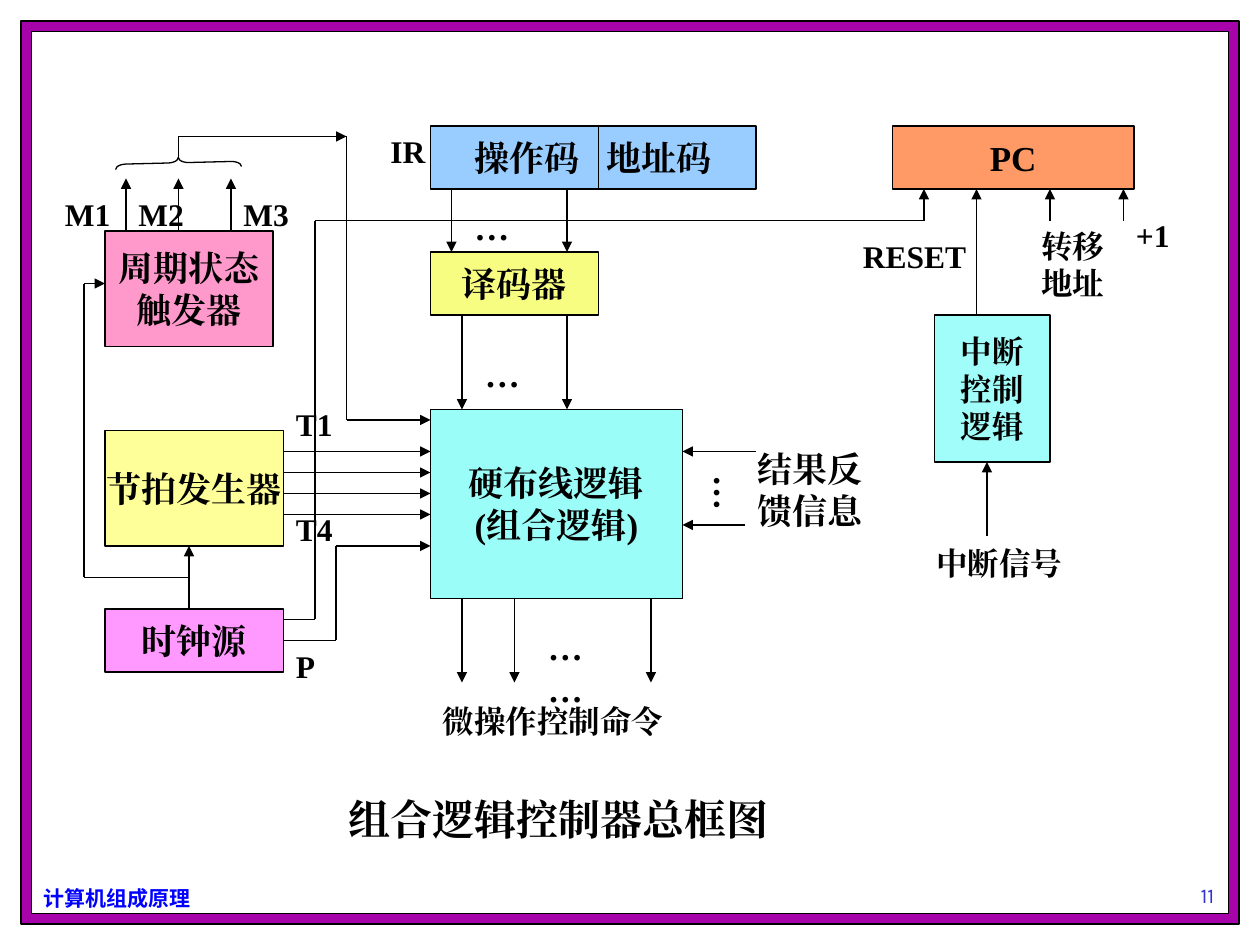
from lxml.etree import SubElement
from pptx import Presentation
from pptx.dml.color import RGBColor
from pptx.enum.shapes import MSO_CONNECTOR, MSO_SHAPE
from pptx.enum.text import MSO_ANCHOR, PP_ALIGN
from pptx.oxml.ns import qn
from pptx.util import Emu, Pt

PX = 9525
BLACK = RGBColor(0x00, 0x00, 0x00)
WHITE = RGBColor(0xFF, 0xFF, 0xFF)
PURPLE = RGBColor(0xA6, 0x03, 0xAB)
BLUE = RGBColor(0x00, 0x00, 0xFF)
INDIGO = RGBColor(0x33, 0x33, 0xCC)
SKY = RGBColor(0x99, 0xCC, 0xFF)
LEMON = RGBColor(0xF7, 0xFD, 0x81)
AQUA = RGBColor(0x9B, 0xFD, 0xF8)
CYAN = RGBColor(0xA1, 0xFD, 0xF9)
ORANGE = RGBColor(0xFF, 0x99, 0x66)
PINK = RGBColor(0xFF, 0x99, 0xCC)
YELLOW = RGBColor(0xFF, 0xFF, 0x99)
VIOLET = RGBColor(0xFF, 0x99, 0xFF)


class Board:
    serif = "Times New Roman"
    sans = "Noto Sans CJK SC"
    width = Pt(0.75)

    def __init__(self, slide):
        self.shapes = slide.shapes

    def scale(self, *values):
        return [Emu(value * PX) for value in values]

    def style(self, frame, size, color=BLACK, face=serif, bold=True):
        for para in frame.paragraphs:
            for run in para.runs:
                font = run.font
                font.size, font.bold = Pt(size), bold
                font.color.rgb = color
                font.name = face
                SubElement(font._element, qn("a:ea"), typeface=face)

    def outline(self, kind, at):
        shape = self.shapes.add_shape(kind, *self.scale(*at))
        shape.shadow.inherit = False
        shape.line.color.rgb = BLACK
        shape.line.width = self.width
        return shape

    def box(self, at, fill, text="", size=20, gap=None):
        shape = self.outline(MSO_SHAPE.RECTANGLE, at)
        shape.fill.solid()
        shape.fill.fore_color.rgb = fill
        frame = shape.text_frame
        frame.word_wrap = False
        frame.vertical_anchor = MSO_ANCHOR.MIDDLE
        first, *rest = text.split(" ")
        frame.text = first
        for word in rest:
            space, run = (frame.paragraphs[0].add_run() for _ in range(2))
            space.text, run.text = " ", word
            space.font._element.set("spc", str(gap * 100))
        for para in frame.paragraphs:
            para.alignment = PP_ALIGN.CENTER
        self.style(frame, size)

    def label(self, at, text, size=18, wrap=True, **look):
        frame = self.shapes.add_textbox(*self.scale(*at)).text_frame
        frame.word_wrap = wrap
        frame.text = text
        self.style(frame, size, **look)
        return frame

    def brace(self, at, turn):
        shape = self.outline(MSO_SHAPE.RIGHT_BRACE, at)
        shape.fill.background()
        shape.adjustments[0] = 1
        shape.rotation = turn

    def wire(self, *points, arrow=True):
        for start, end in zip(points, points[1:]):
            line = self.shapes.add_connector(
                MSO_CONNECTOR.STRAIGHT, *self.scale(*start, *end))
            line.line.color.rgb = BLACK
            line.line.width = self.width
            SubElement(line._element.spPr, qn("a:effectLst"))
        if arrow:
            SubElement(line.line._get_or_add_ln(), qn("a:tailEnd"), type="triangle")


def frame(board):
    board.box((16, 16, 928, 688), PURPLE)
    board.box((24, 24, 912, 672), WHITE)
    board.label((24, 670, 131, 29), "计算机组成原理", 12, False,
                color=BLUE, face=board.sans)
    page = board.label((832, 648, 176, 48), "11", 12,
                       color=INDIGO, face="Karla", bold=False)
    page.vertical_anchor = MSO_ANCHOR.BOTTOM
    page.paragraphs[0].alignment = PP_ALIGN.CENTER


def blocks(board):
    board.box((328, 96, 248, 48), SKY, "操作码 地址码", gap=10)
    board.wire((456, 96), (456, 144), arrow=False)
    board.box((328, 192, 128, 48), LEMON, "译码器")
    board.box((328, 312, 192, 144), AQUA, "硬布线逻辑\n(组合逻辑)")
    board.box((680, 96, 184, 48), ORANGE, "PC")
    board.box((80, 176, 128, 88), PINK, "周期状态\n触发器")
    board.box((80, 328, 136, 88), YELLOW, "节拍发生器")
    board.box((80, 464, 136, 48), VIOLET, "时钟源")
    board.box((712, 240, 88, 112), CYAN, "中断\n控制\n逻辑", 18)


def wires(board):
    for x in (352, 392, 496):
        board.wire((x, 456), (x, 520))
    for x in (96, 136, 176):
        board.wire((x, 176), (x, 136))
    for y in range(344, 393, 16):
        board.wire((216, y), (328, y))
    for x in (344, 432):
        board.wire((x, 144), (x, 192))
    for x in (352, 432):
        board.wire((x, 240), (x, 312))
    for x in (800, 856):
        board.wire((x, 168), (x, 144))
    board.wire((144, 464), (144, 416))
    board.brace((132, 76, 8, 96), 268.6)
    board.wire((136, 120), (136, 104), (264, 104))
    board.wire((264, 104), (264, 320), (328, 320))
    board.wire((144, 440), (64, 440), (64, 216), (80, 216))
    board.wire((216, 488), (256, 488), (256, 416), (328, 416))
    board.wire((216, 472), (240, 472), (240, 168), (704, 168), (704, 144))
    board.wire((576, 344), (520, 344))
    board.wire((568, 400), (520, 400))
    board.wire((744, 240), (744, 144))
    board.wire((752, 408), (752, 352))


def labels(board):
    for x, y, wide, text in (
        (40, 144, 80, "M1"), (96, 144, 80, "M2"), (176, 144, 56, "M3"),
        (216, 304, 48, "T1"), (216, 384, 48, "T4"), (216, 488, 80, "P"),
        (288, 96, 48, "IR"), (856, 160, 64, "+1"), (648, 176, 120, "RESET"),
        (704, 410, 160, "中断信号"), (328, 530, 232, "微操作控制命令"),
    ):
        board.label((x, y, wide, 38), text)
    board.label((784, 168, 88, 67), "转移地址")
    board.label((568, 336, 120, 74), "结果反馈信息", 20)
    board.label((408, 472, 72, 74), "……", 20)
    board.label((352, 152, 64, 42), "…", 20)
    board.label((360, 264, 72, 42), "…", 20)
    dots = board.label((525, 352, 51, 64), "…", 20)
    dots._txBody.bodyPr.set("vert", "eaVert")
    dots.margin_left, dots.margin_top, dots.margin_right, dots.margin_bottom = (
        board.scale(5, 10, 5, 10))
    board.label((256, 600, 520, 48), "组合逻辑控制器总框图", 24)


def main():
    deck = Presentation()
    deck.slide_width, deck.slide_height = Emu(960 * PX), Emu(720 * PX)
    board = Board(deck.slides.add_slide(deck.slide_layouts[6]))
    for draw in (frame, blocks, wires, labels):
        draw(board)
    deck.save("out.pptx")


if __name__ == "__main__":
    main()
